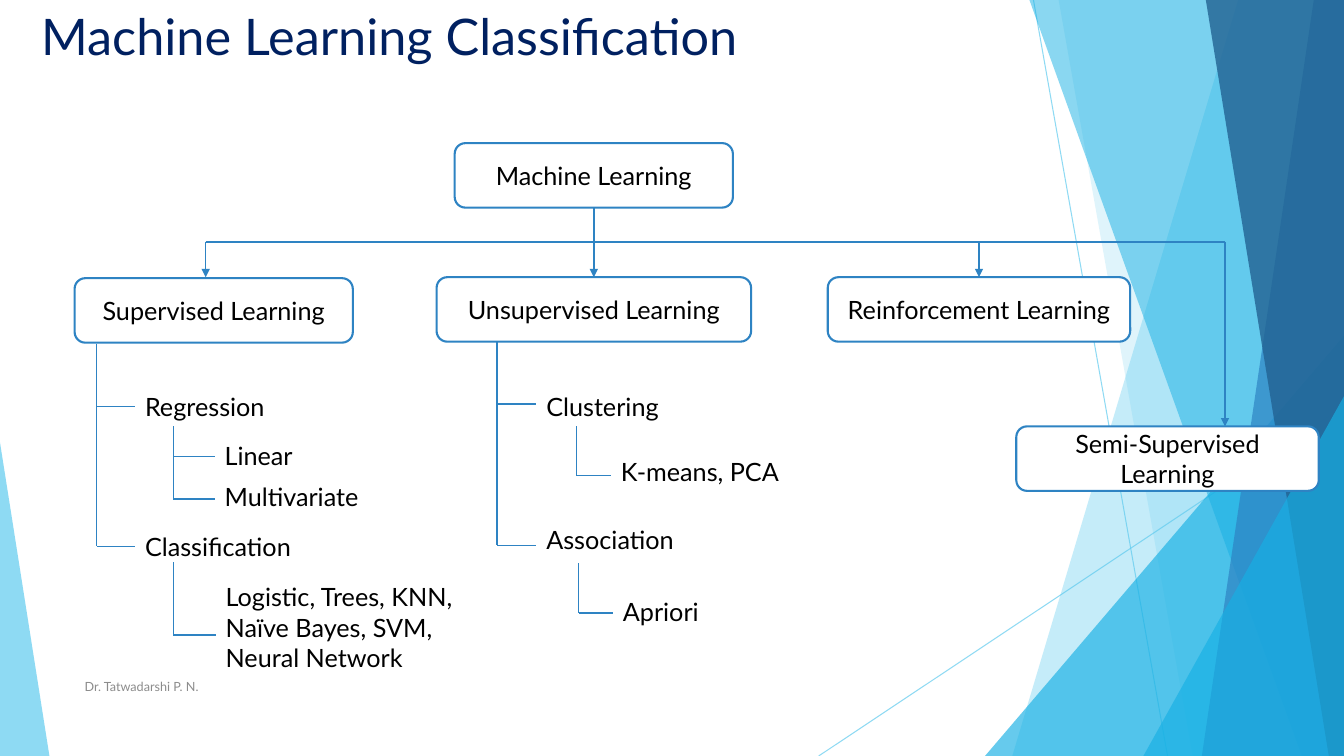
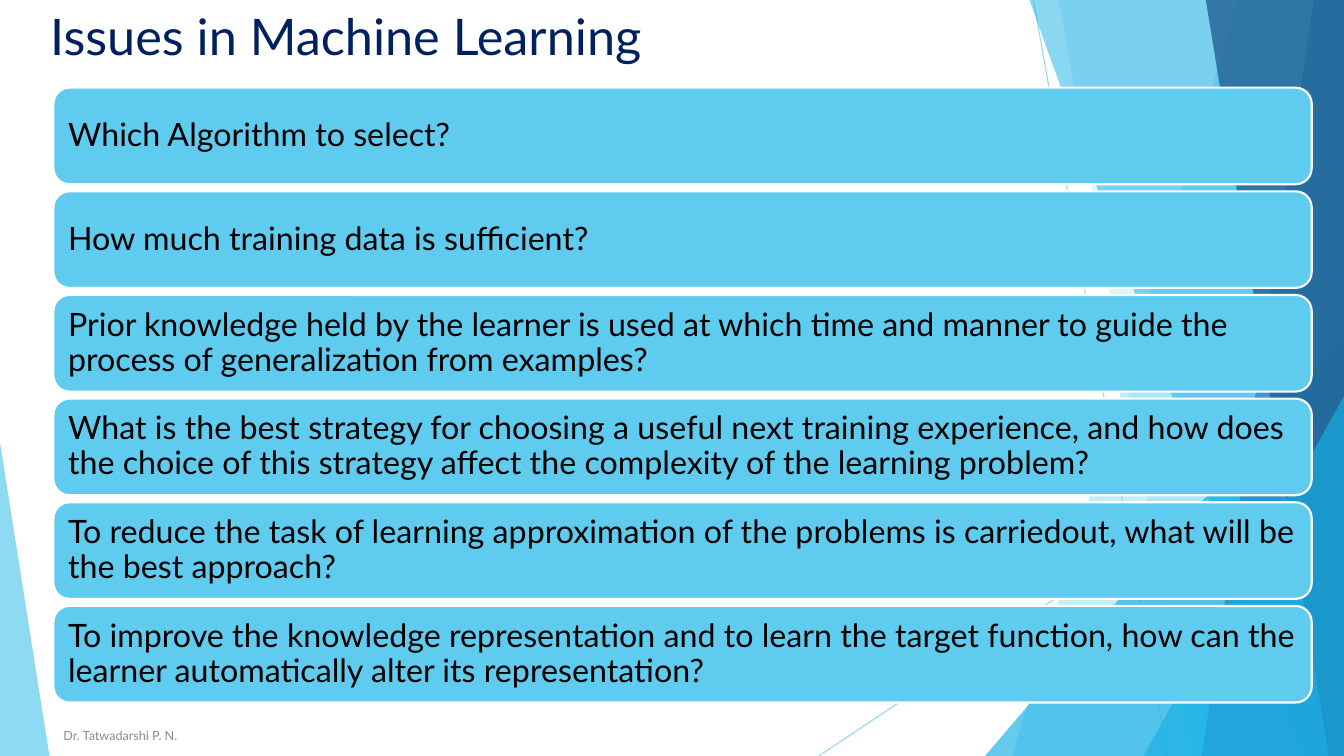
import lxml.etree
import pptx
import pptx.dml.color
import pptx.enum.shapes
import pptx.enum.text
import pptx.oxml.ns
import pptx.util

Inches = pptx.util.Inches
Pt = pptx.util.Pt
qn = pptx.oxml.ns.qn
SHAPES = pptx.enum.shapes.MSO_SHAPE
ALIGN = pptx.enum.text.PP_ALIGN
ANCHOR = pptx.enum.text.MSO_ANCHOR

WIDTH, HEIGHT = 13.33, 7.5
FONT = "Lato"
COLORS = {
    "title": "002060",
    "text": "000000",
    "footer": "8C8C8C",
    "white": "FFFFFF",
    "sky": "5FCBEF",
    "cyan": "17B0E4",
    "blue": "2E83C3",
    "navy": "226292",
}
ISSUES = [
    "Which Algorithm to select?",
    "How much training data is sufficient?",
    "Prior knowledge held by the learner is used at which time and manner to guide the process of generalization from examples?",
    "What is the best strategy for choosing a useful next training experience, and how does the choice of this strategy affect the complexity of the learning problem?",
    "To reduce the task of learning approximation of the problems is carriedout, what will be the best approach?",
    "To improve the knowledge representation and to learn the target function, how can the learner automatically alter its representation?",
]


def rgb(name):
    return pptx.dml.color.RGBColor.from_string(COLORS[name])


def set_opacity(shape, percent):
    for color in shape.element.spPr.iter(qn("a:srgbClr")):
        lxml.etree.SubElement(color, qn("a:alpha")).set("val", str(percent * 1000))


def paint(shape, fill, outline=None):
    shape.shadow.inherit = False
    shape.fill.solid()
    shape.fill.fore_color.rgb = rgb(fill)
    if outline:
        shape.line.color.rgb = rgb(outline)
        shape.line.width = Pt(1.5)
    else:
        shape.line.fill.background()


def write(shape, text, size, color="text", align=ALIGN.LEFT, anchor=ANCHOR.MIDDLE):
    frame = shape.text_frame
    frame.word_wrap = True
    frame.vertical_anchor = anchor
    frame.text = text
    para = frame.paragraphs[0]
    para.alignment = align
    for span in para.runs:
        span.font.name = FONT
        span.font.size = Pt(size)
        span.font.color.rgb = rgb(color)
    return para


def add_text(page, left, top, width, height, text, size, **style):
    box = page.shapes.add_textbox(Inches(left), Inches(top), Inches(width), Inches(height))
    write(box, text, size, **style)


def add_line(page, start, end, color="blue", weight=1, arrow=False):
    ends = [Inches(value) for value in (*start, *end)]
    line = page.shapes.add_connector(pptx.enum.shapes.MSO_CONNECTOR.STRAIGHT, *ends)
    line.line.color.rgb = rgb(color)
    line.line.width = Pt(weight)
    properties = line.element.spPr
    if arrow:
        lxml.etree.SubElement(properties.find(qn("a:ln")), qn("a:tailEnd")).set("type", "triangle")
    lxml.etree.SubElement(properties, qn("a:effectLst"))
    return line


def add_rounded(page, left, top, width, height, fill, outline):
    box = page.shapes.add_shape(
        SHAPES.ROUNDED_RECTANGLE, Inches(left), Inches(top), Inches(width), Inches(height)
    )
    paint(box, fill, outline)
    return box


def add_shard(page, color, opacity, top_x, bottom_x):
    corners = [(top_x, 0), (WIDTH, 0), (WIDTH, HEIGHT), (bottom_x, HEIGHT)]
    points = [(Inches(x), Inches(y)) for x, y in corners]
    builder = page.shapes.build_freeform(*points[0], scale=1.0)
    builder.add_line_segments(points[1:], close=True)
    shard = builder.convert_to_shape()
    paint(shard, color)
    set_opacity(shard, opacity)


def add_triangle(page, color, opacity, left, top, width, apex):
    triangle = page.shapes.add_shape(
        SHAPES.ISOSCELES_TRIANGLE, Inches(left), Inches(top), Inches(width), Inches(HEIGHT - top)
    )
    triangle.adjustments[0] = apex
    paint(triangle, color)
    set_opacity(triangle, opacity)


def add_backdrop(page):
    for start, end in (((10.25, 0), (11.58, HEIGHT)), ((WIDTH, 4.03), (8.12, HEIGHT))):
        set_opacity(add_line(page, start, end, "sky", 0.75), 70)
    add_shard(page, "sky", 36, 12.28, 10.04)
    add_shard(page, "sky", 20, 10.5, 11.83)
    add_triangle(page, "cyan", 66, 9.77, 3.33, 3.56, 1)
    add_shard(page, "cyan", 50, 10.21, 12.91)
    add_shard(page, "blue", 70, 13.03, 11.92)
    add_shard(page, "navy", 80, 11.96, 13.18)
    add_triangle(page, "cyan", 66, 11.34, 3.93, 1.99, 1)
    add_triangle(page, "sky", 70, 0, 4.39, 0.49, 0)


def start_page(deck, title, title_left, footer_left, footer_top):
    page = deck.slides.add_slide(deck.slide_layouts[6])
    add_backdrop(page)
    add_text(page, title_left, 0, 9.4, 1.44, title, 36, color="title", anchor=ANCHOR.TOP)
    add_text(page, footer_left, footer_top, 6.89, 0.4, "Dr. Tatwadarshi P. N.", 9, color="footer")
    return page


def add_node(page, left, top, width, label):
    box = add_rounded(page, left, top, width, 0.64, "white", "blue")
    write(box, label, 18, align=ALIGN.CENTER)


def add_branch(page, left, top, reach, twigs):
    add_line(page, (left, top), (left, top + twigs[-1][0]))
    for drop, shift, width, lines, label in twigs:
        twig_y = top + drop
        height = 0.1 + 0.3 * lines
        add_line(page, (left, twig_y), (left + reach, twig_y))
        add_text(page, left + reach, twig_y + shift - height / 2, width, height, label, 18)


def add_hub(page, left, top):
    bar = top + 0.98
    middle, right, far_right = left + 3.85, left + 7.67, left + 10.11
    add_line(page, (left, bar), (right, bar))
    add_line(page, (middle, top + 0.64), (middle, bar))
    for x in (left, middle, right):
        add_line(page, (x, bar), (x, bar + 0.35), arrow=True)
    add_line(page, (right, bar), (far_right, bar), weight=1.5)
    add_line(page, (far_right, bar), (far_right, bar + 1.83), weight=1.5, arrow=True)


def add_supervised(page, left, top):
    add_node(page, left, top, 2.76, "Supervised Learning")
    add_branch(page, left + 0.22, top + 0.65, 0.38, [
        (0.62, 0, 1.6, 1, "Regression"),
        (2.01, 0, 1.9, 1, "Classification"),
    ])
    add_branch(page, left + 0.98, top + 1.47, 0.41, [
        (0.3, -0.01, 1.1, 1, "Linear"),
        (0.72, -0.02, 1.8, 1, "Multivariate"),
    ])
    add_branch(page, left + 0.98, top + 2.82, 0.42, [
        (0.72, -0.08, 3.04, 3, "Logistic, Trees, KNN, Naïve Bayes, SVM, Neural Network"),
    ])


def add_unsupervised(page, left, top):
    add_node(page, left, top, 3.12, "Unsupervised Learning")
    add_branch(page, left + 0.6, top + 0.64, 0.39, [
        (0.62, 0.02, 1.6, 1, "Clustering"),
        (2.02, -0.06, 1.7, 1, "Association"),
    ])
    add_branch(page, left + 1.39, top + 1.48, 0.34, [(0.49, -0.04, 2, 1, "K-means, PCA")])
    add_branch(page, left + 1.41, top + 2.84, 0.34, [(0.49, -0.01, 1.2, 1, "Apriori")])


def add_issues(page, left, top, width, height):
    gap = 0.07
    bar_height = (height - gap * (len(ISSUES) - 1)) / len(ISSUES)
    for index, issue in enumerate(ISSUES):
        bar = add_rounded(page, left, top + index * (bar_height + gap), width, bar_height,
                          "sky", "white")
        frame = bar.text_frame
        frame.margin_top = frame.margin_bottom = Inches(0.1)
        para = write(bar, issue, 23)
        para.line_spacing = 0.9
        para.space_after = Pt(8)


def build_classification(deck):
    page = start_page(deck, "Machine Learning Classification", 0.31, 0.74, 6.61)
    add_hub(page, 2.04, 1.42)
    add_node(page, 4.51, 1.42, 2.76, "Machine Learning")
    add_supervised(page, 0.74, 2.76)
    add_unsupervised(page, 4.33, 2.75)
    add_node(page, 8.21, 2.75, 3, "Reinforcement Learning")
    add_node(page, 10.08, 4.23, 3, "Semi-Supervised Learning")


def build_issues(deck):
    page = start_page(deck, "Issues in Machine Learning", 0.4, 0.53, 7.1)
    add_issues(page, 0.53, 0.87, 12.48, 6.1)


def main():
    deck = pptx.Presentation()
    deck.slide_width = Inches(WIDTH)
    deck.slide_height = Inches(HEIGHT)
    build_classification(deck)
    build_issues(deck)
    deck.save("out.pptx")


if __name__ == "__main__":
    main()
